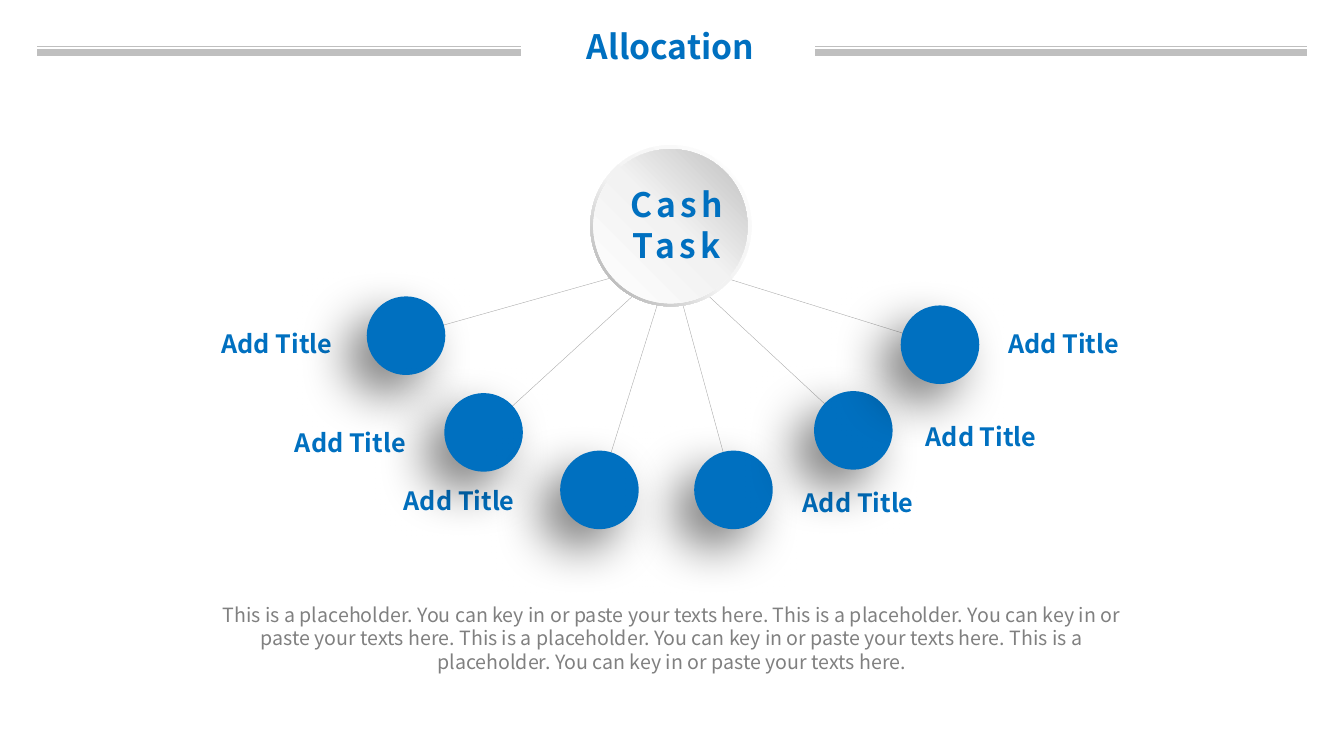
from lxml.etree import SubElement
from pptx import Presentation
from pptx.dml.color import RGBColor
from pptx.enum.shapes import MSO_CONNECTOR, MSO_SHAPE
from pptx.enum.text import MSO_ANCHOR, PP_ALIGN
from pptx.oxml import parse_xml
from pptx.oxml.ns import nsdecls, qn
from pptx.util import Inches, Pt

FONT = "Noto Sans CJK SC"
COLORS = {"blue": "0070C0", "rule": "BFBFBF", "spoke": "A6A6A6", "body": "808080",
          "shadow": "000000", "white": "FFFFFF", "pale": "F2F2F2"}
NODE_SIZE = 0.78
# Left and top of each node, then left and top of its label
NODES = [((3.64, 2.94), (2.1, 3.21)), ((4.41, 3.9), (2.83, 4.19)),
         ((5.56, 4.47), (3.91, 4.77)), ((6.89, 4.47), (7.87, 4.79)),
         ((8.08, 3.88), (9.09, 4.13)), ((8.94, 3.03), (9.91, 3.21))]
BODY = " ".join(["This is a placeholder. You can key in or paste your texts here."] * 4)


def rgb(name):
    return RGBColor.from_string(COLORS[name])


def write_text(shape, text, size, color, bold=True, align=PP_ALIGN.CENTER, wrap=True, spacing=0):
    text_frame = shape.text_frame
    text_frame.text = text
    text_frame.word_wrap = wrap
    for paragraph in text_frame.paragraphs:
        paragraph.alignment = align
        for run in paragraph.runs:
            run.font.name = FONT
            run.font.size = Pt(size)
            run.font.bold = bold
            run.font.color.rgb = rgb(color)
            properties = run.font._element
            SubElement(properties, qn("a:ea")).set("typeface", FONT)
            if spacing:
                properties.set("spc", str(spacing * 100))


def add_text(slide, box, text, size, color, **options):
    shape = slide.shapes.add_textbox(*map(Inches, box))
    write_text(shape, text, size, color, **options)


def add_line(slide, start, end, color, width):
    line = slide.shapes.add_connector(MSO_CONNECTOR.STRAIGHT, *map(Inches, start + end))
    line.line.color.rgb = rgb(color)
    line.line.width = Pt(width)
    SubElement(line._element.spPr, qn("a:effectLst"))


def add_round(slide, kind, box):
    shape = slide.shapes.add_shape(kind, *map(Inches, box))
    shape.shadow.inherit = False
    shape.line.fill.background()
    return shape


def fill_gradient(shape, stops, angle):
    shape.fill.background()
    empty_fill = shape._element.spPr.find(qn("a:noFill"))
    stop_xml = "".join(f'<a:gs pos="{position * 1000}"><a:srgbClr val="{COLORS[name]}"/></a:gs>'
                       for position, name in stops)
    gradient = parse_xml(f'<a:gradFill {nsdecls("a")} rotWithShape="1"><a:gsLst>{stop_xml}</a:gsLst>'
                         f'<a:lin ang="{angle * 60000}" scaled="0"/></a:gradFill>')
    shape._element.spPr.replace(empty_fill, gradient)


def add_soft_shadow(shape):
    effects = shape._element.spPr.find(qn("a:effectLst"))
    effects.append(parse_xml(
        f'<a:outerShdw {nsdecls("a")} blurRad="{Pt(35)}" dist="{Pt(20)}" dir="{135 * 60000}" '
        f'algn="tr" rotWithShape="0"><a:srgbClr val="{COLORS["shadow"]}">'
        '<a:alpha val="50000"/></a:srgbClr></a:outerShdw>'))


def add_header(slide, left, top, width):
    # Title between two pairs of rules
    title = slide.shapes.title
    title.left, title.top = Inches(left + 4.85), Inches(top)
    title.width, title.height = Inches(2.87), Inches(0.5)
    write_text(title, "Allocation", 24, "blue")
    title.text_frame.vertical_anchor = MSO_ANCHOR.MIDDLE
    for start, end in [(left, left + 4.8), (left + 7.72, left + width)]:
        for offset, weight in [(0.25, 0.75), (0.31, 4.5)]:
            add_line(slide, (start, top + offset), (end, top + offset), "rule", weight)


def add_hub(slide, left, top, size):
    # Raised disc: rim, face and caption
    rim = add_round(slide, MSO_SHAPE.DONUT, (left, top, size, size))
    rim.adjustments[0] = 0.049
    fill_gradient(rim, [(0, "white"), (55, "pale"), (100, "spoke")], 135)
    face = add_round(slide, MSO_SHAPE.OVAL, (left + 0.03, top + 0.04, size - 0.07, size - 0.07))
    fill_gradient(face, [(0, "white"), (51, "pale"), (100, "rule")], 315)
    add_text(slide, (left + 0.28, top + 0.34, 1.15, 0.91), "Cash\nTask", 24, "blue",
             wrap=False, spacing=3)


def add_diagram(slide, left, top, size):
    # Labels and spokes lie behind the nodes and the hub
    center = (left + size / 2, top + size / 2 + 0.35)
    for (node_left, node_top), label in NODES:
        add_text(slide, (*label, 1.34, 0.4), "Add Title", 18, "blue",
                 align=PP_ALIGN.LEFT, wrap=False)
        add_line(slide, (node_left + NODE_SIZE / 2, node_top + NODE_SIZE / 2), center, "spoke", 0.25)
    for position, _ in NODES:
        node = add_round(slide, MSO_SHAPE.OVAL, (*position, NODE_SIZE, NODE_SIZE))
        node.fill.solid()
        node.fill.fore_color.rgb = rgb("blue")
        add_soft_shadow(node)
    add_hub(slide, left, top, size)


def main():
    presentation = Presentation()
    presentation.slide_width, presentation.slide_height = Inches(13.34), Inches(7.5)
    slide = presentation.slides.add_slide(presentation.slide_layouts[5])
    add_header(slide, 0.37, 0.21, 12.6)
    add_diagram(slide, 5.86, 1.44, 1.6)
    add_text(slide, (1.92, 5.93, 9.5, 0.81), BODY, 14, "body", bold=False)
    presentation.save("out.pptx")


if __name__ == "__main__":
    main()
